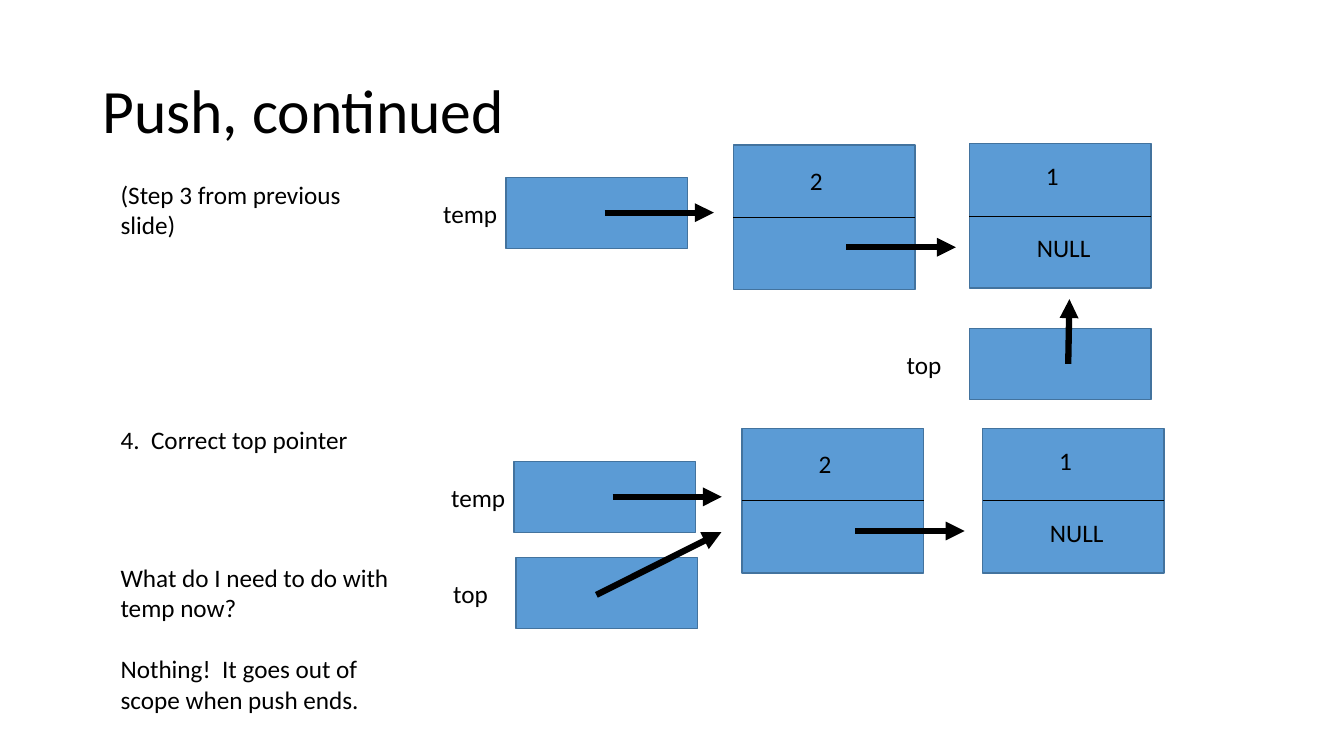
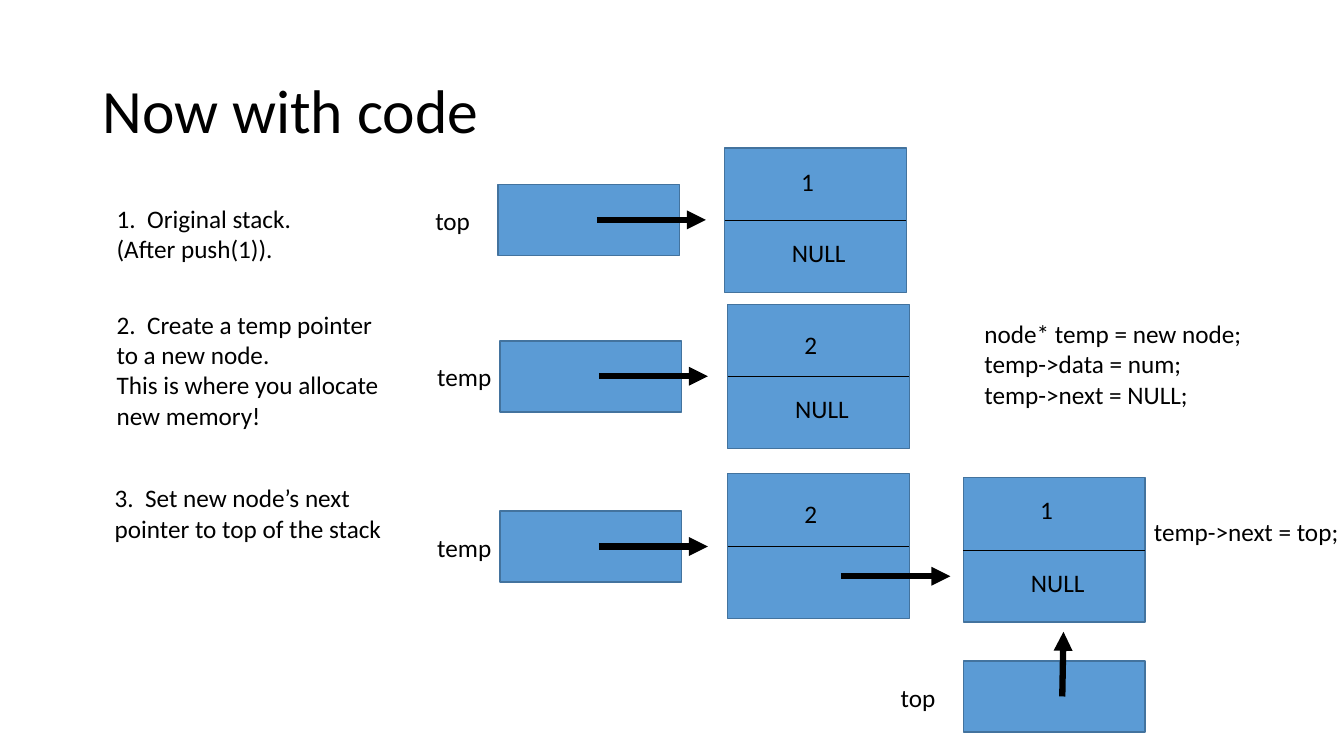
import pptx
import pptx.dml.color
import pptx.enum.shapes
import pptx.enum.text
import pptx.oxml.ns
import pptx.util
from lxml import etree

Cm = pptx.util.Cm
Pt = pptx.util.Pt

FONT = "Calibri"
TEXT_SIZE = 18
TITLE_SIZE = 44
BLACK, BOX_FILL, BOX_LINE = "000000", "5B9BD5", "43739E"

# All lengths are centimetres.
SLIDE_SIZE = (33.87, 19.05)
TITLE_AREA = (2.33, 1.01, 29.21, 3.68)
BOX_WIDTH, NODE_HEIGHT, POINTER_HEIGHT = 4.58, 3.64, 1.79
LINE_HEIGHT = 1.02
VALUE_LEFT, VALUE_WIDTH = 1.68, 3.23
LABEL_OFFSET = (-1.83, 0.4)
LABEL_WIDTHS = {"temp": 1.88, "top": 1.4}
NULL_OFFSET, NULL_WIDTH = (1.45, 2.12), 1.88
NODE_ARROW = ((2.85, 2.58), (5.61, 2.58))
# Arrow start and end, measured from the corner of the pointer box.
POINTER_ARROWS = {
    "right": ((2.49, 0.89), (5.24, 0.89)),
    "up": ((2.49, 0.89), (2.52, -0.74)),
    "diagonal": ((2.03, 0.94), (5.18, -0.64)),
}

# nodes: left, top, value, drop of the value, whether next is NULL
# pointers: left, top, name, arrow
# notes: left, top, width, height, space between paragraphs (pt), paragraphs
SLIDES = [
    {
        "title": "Push, continued",
        "nodes": [
            (24.43, 3.62, "1", 0.3, True),
            (18.48, 3.65, "2", 0.38, False),
            (24.76, 10.8, "1", 0.3, True),
            (18.7, 10.8, "2", 0.38, False),
        ],
        "pointers": [
            (12.75, 4.47, "temp", "right"),
            (24.43, 8.28, "top", "up"),
            (12.95, 11.63, "temp", "right"),
            (13, 14.05, "top", "diagonal"),
        ],
        "notes": [
            (2.79, 4.39, 7.42, 1.8, 0, ["(Step 3 from previous slide)"]),
            (2.79, 10.57, 7.42, 1.02, 0, ["4.  Correct top pointer"]),
            (2.79, 14.05, 7.42, 4.11, 22, [
                "What do I need to do with temp now?",
                "Nothing!  It goes out of scope when push ends.",
            ]),
        ],
    },
    {
        "title": "Now with code",
        "nodes": [
            (18.26, 3.73, "1", 0.33, True),
            (18.34, 7.67, "2", 0.5, True),
            (18.34, 11.94, "2", 0.5, False),
            (24.28, 12.04, "1", 0.3, True),
        ],
        "pointers": [
            (12.55, 4.65, "top", "right"),
            (12.6, 8.59, "temp", "right"),
            (12.6, 12.88, "temp", "right"),
            (24.28, 16.66, "top", "up"),
        ],
        "notes": [
            (2.69, 5, 5.28, 1.8, 0, ["1.  Original stack.  (After push(1))."]),
            (2.69, 7.67, 7.42, 3.33, 0, [
                "2.  Create a temp pointer to a new node.",
                "This is where you allocate new memory!",
            ]),
            (2.64, 12.04, 7.42, 1.8, 0,
             ["3.  Set new node’s next pointer to top of the stack"]),
            (24.56, 7.9, 7.39, 2.57, 0, [
                "node* temp = new node;",
                "temp->data = num;",
                "temp->next = NULL;",
            ]),
            (28.83, 12.88, 5.23, 1.02, 0, ["temp->next = top;"]),
        ],
    },
]


def color(hex_string):
    return pptx.dml.color.RGBColor.from_string(hex_string)


def add_text(slide, area, paragraphs, size=TEXT_SIZE, gap=0, wrap=True):
    box = slide.shapes.add_textbox(*map(Cm, area))
    frame = box.text_frame
    frame.word_wrap = wrap
    frame.text = "\n".join(paragraphs)
    for index, paragraph in enumerate(frame.paragraphs):
        paragraph.font.name = FONT
        paragraph.font.size = Pt(size)
        paragraph.font.color.rgb = color(BLACK)
        if index and gap:
            paragraph.space_before = Pt(gap)
    return frame


def add_title(slide, title):
    frame = add_text(slide, TITLE_AREA, [title], size=TITLE_SIZE)
    frame.vertical_anchor = pptx.enum.text.MSO_ANCHOR.MIDDLE
    frame.paragraphs[0].line_spacing = 0.9


def add_box(slide, left, top, height):
    box = slide.shapes.add_shape(
        pptx.enum.shapes.MSO_SHAPE.RECTANGLE,
        Cm(left), Cm(top), Cm(BOX_WIDTH), Cm(height))
    box.shadow.inherit = False
    box.fill.solid()
    box.fill.fore_color.rgb = color(BOX_FILL)
    box.line.color.rgb = color(BOX_LINE)
    box.line.width = Pt(1)


def add_line(slide, left, top, ends, width, arrow=False):
    """Draw a line whose ends are measured from the corner (left, top)."""
    (start_x, start_y), (end_x, end_y) = ends
    connector = slide.shapes.add_connector(
        pptx.enum.shapes.MSO_CONNECTOR.STRAIGHT,
        Cm(left + start_x), Cm(top + start_y),
        Cm(left + end_x), Cm(top + end_y))
    connector.line.color.rgb = color(BLACK)
    connector.line.width = Pt(width)
    properties = connector._element.spPr
    qualified = pptx.oxml.ns.qn
    if arrow:
        outline = properties.find(qualified("a:ln"))
        etree.SubElement(outline, qualified("a:tailEnd"), type="triangle")
    etree.SubElement(properties, qualified("a:effectLst"))


def add_node(slide, left, top, value, value_drop, next_is_null):
    add_box(slide, left, top, NODE_HEIGHT)
    middle = NODE_HEIGHT / 2
    add_line(slide, left, top, ((0, middle), (BOX_WIDTH, middle)), 0.5)
    add_text(slide, (left + VALUE_LEFT, top + value_drop, VALUE_WIDTH, LINE_HEIGHT), [value])
    if next_is_null:
        offset_x, offset_y = NULL_OFFSET
        add_text(slide, (left + offset_x, top + offset_y, NULL_WIDTH, LINE_HEIGHT),
                 ["NULL"], wrap=False)
    else:
        add_line(slide, left, top, NODE_ARROW, 4.5, arrow=True)


def add_pointer(slide, left, top, name, direction):
    add_box(slide, left, top, POINTER_HEIGHT)
    offset_x, offset_y = LABEL_OFFSET
    add_text(slide, (left + offset_x, top + offset_y, LABEL_WIDTHS[name], LINE_HEIGHT),
             [name], wrap=False)
    add_line(slide, left, top, POINTER_ARROWS[direction], 4.5, arrow=True)


def main():
    presentation = pptx.Presentation()
    presentation.slide_width, presentation.slide_height = map(Cm, SLIDE_SIZE)
    blank_layout = presentation.slide_layouts[6]
    for content in SLIDES:
        slide = presentation.slides.add_slide(blank_layout)
        add_title(slide, content["title"])
        for node in content["nodes"]:
            add_node(slide, *node)
        for pointer in content["pointers"]:
            add_pointer(slide, *pointer)
        for *area, gap, paragraphs in content["notes"]:
            add_text(slide, area, paragraphs, gap=gap)
    presentation.save("out.pptx")


if __name__ == "__main__":
    main()
